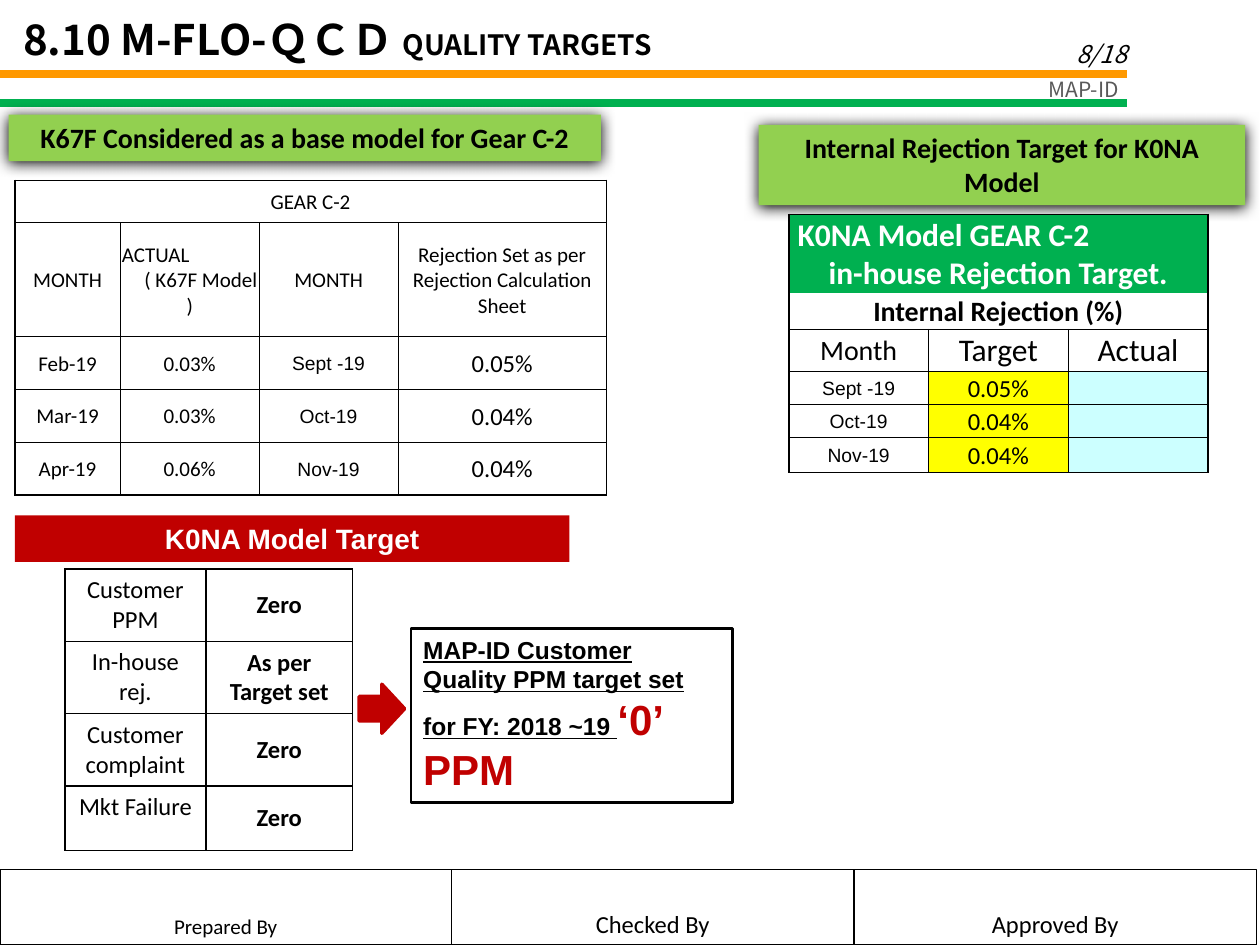
from collections import namedtuple
from dataclasses import dataclass

from lxml.etree import SubElement
from pptx import Presentation
from pptx.dml.color import RGBColor
from pptx.enum.shapes import MSO_CONNECTOR, MSO_SHAPE
from pptx.enum.text import MSO_ANCHOR as Anchor, MSO_AUTO_SIZE, PP_ALIGN as Align
from pptx.oxml.ns import qn
from pptx.util import Pt

Box = namedtuple("Box", "x y w h")
Edges = namedtuple("Edges", "left right top bottom inner")


@dataclass(frozen=True)
class Theme:
    black: str = "000000"
    white: str = "FFFFFF"
    grey: str = "595959"
    orange: str = "FF9900"
    green: str = "00B050"
    lime: str = "92D050"
    red: str = "C00000"
    yellow: str = "FFFF00"
    aqua: str = "CCFFFF"
    body: str = "Calibri"
    strong: str = "Arial"
    heading: str = "Noto Sans CJK JP"
    tiny: int = 11
    small: int = 12
    normal: int = 14
    large: int = 16
    big: int = 18
    huge: int = 24


THEME = Theme()


@dataclass
class Style:
    size: int = THEME.small
    name: str = THEME.body
    bold: bool = False
    italic: bool = False
    color: str = THEME.black
    align: Align = Align.CENTER
    fill: str = None
    anchor: Anchor = Anchor.MIDDLE


PLAIN = Style()
NORMAL = Style(THEME.normal)
DATE = Style(THEME.tiny, THEME.strong)


def rgb(value):
    return RGBColor.from_string(value)


def place(shape, box):
    shape.left, shape.top, shape.width, shape.height = map(Pt, box)


def paint(target, color):
    if color:
        target.solid()
        target.fore_color.rgb = rgb(color)
    else:
        target.background()


def write(frame, lines, style):
    """Fill a text frame; lines is a string or a list of (text, alignment)."""
    if isinstance(lines, str):
        lines = [(lines, style.align)]
    for index, (text, align) in enumerate(lines):
        para = frame.add_paragraph() if index else frame.paragraphs[0]
        para.text = text
        para.alignment = align
        font = para.font
        font.size, font.name = Pt(style.size), style.name
        font.bold, font.italic = style.bold, style.italic
        font.color.rgb = rgb(style.color)


def add_label(page, box, text, style, fill=None, line=None, width=0.75):
    shape = page.shapes.add_shape(MSO_SHAPE.RECTANGLE, *map(Pt, box))
    shape.shadow.inherit = False
    paint(shape.fill, fill)
    paint(shape.line.fill, line)
    if line:
        shape.line.width = Pt(width)
    frame = shape.text_frame
    frame.word_wrap = True
    frame.vertical_anchor = style.anchor
    write(frame, text, style)
    return shape


def add_banner(page, box, text):
    style = Style(THEME.large, bold=True, anchor=Anchor.TOP)
    shape = add_label(page, box, text, style, fill=THEME.lime)
    effects = shape._element.spPr.find(qn("a:effectLst"))
    shadow = SubElement(effects, qn("a:outerShdw"), blurRad=str(Pt(8.5)),
                        dist=str(Pt(1)), dir="5400000", rotWithShape="0")
    SubElement(shadow, qn("a:srgbClr"), val=THEME.black)


def add_rule(page, x, y, length, color):
    line = page.shapes.add_connector(MSO_CONNECTOR.STRAIGHT, Pt(x), Pt(y), Pt(x + length), Pt(y))
    line.line.color.rgb = rgb(color)
    line.line.width = Pt(4.5)
    SubElement(line._element.spPr, qn("a:effectLst"))


def set_borders(cell, widths):
    props = cell._tc.get_or_add_tcPr()
    for side, width in zip("LRTB", widths):
        edge = SubElement(props, qn(f"a:ln{side}"), w=str(Pt(width)))
        if width:
            SubElement(SubElement(edge, qn("a:solidFill")), qn("a:srgbClr"), val=THEME.black)
        else:
            SubElement(edge, qn("a:noFill"))


def add_grid(page, box, columns, heights, rows, edges, insets, open_rows=0):
    """Rows hold (text, style) cells; a one-cell row spans the table.

    No line is drawn below the first open_rows rows.
    """
    table = page.shapes.add_table(len(rows), len(columns), *map(Pt, box)).table
    table.first_row = table.horz_banding = False
    for column, width in zip(table.columns, columns):
        column.width = Pt(width)
    for r, (row, height) in enumerate(zip(rows, heights)):
        table.rows[r].height = Pt(height)
        if len(row) == 1:
            table.cell(r, 0).merge(table.cell(r, len(columns) - 1))
        for c, (text, style) in enumerate(row):
            cell = table.cell(r, c)
            cell.margin_left, cell.margin_top, cell.margin_right, cell.margin_bottom = map(Pt, insets)
            cell.vertical_anchor = style.anchor
            above = 0 if r <= open_rows else edges.inner
            below = 0 if r < open_rows else edges.inner
            set_borders(cell, (
                edges.inner if c else edges.left,
                edges.right if c == len(row) - 1 else edges.inner,
                above if r else edges.top,
                edges.bottom if r == len(rows) - 1 else below))
            paint(cell.fill, style.fill)
            write(cell.text_frame, text, style)


def add_header(page, box):
    title = page.shapes.title
    place(title, Box(box.x + 6, box.y + 4, 639, 36))
    frame = title.text_frame
    frame.auto_size = MSO_AUTO_SIZE.NONE
    frame.vertical_anchor = Anchor.MIDDLE
    write(frame, "8.10 M-FLO-ＱＣＤ ", Style(THEME.huge, THEME.heading, bold=True, align=Align.LEFT))
    span = frame.paragraphs[0].add_run()
    span.text = "QUALITY TARGETS"
    span.font.size = Pt(THEME.large)

    add_rule(page, box.x, box.y + 42.5, 644, THEME.orange)
    add_rule(page, box.x, box.y + 59, 644, THEME.green)
    add_label(page, Box(box.x + 501, box.y + 6.5, 150, 36), "8/18",
              Style(THEME.normal, THEME.heading, italic=True, align=Align.RIGHT, anchor=Anchor.BOTTOM))
    add_label(page, Box(box.x + 538.5, box.y + 40.3, 108, 21.6), "MAP-ID",
              Style(THEME.small, THEME.heading, color=THEME.grey, align=Align.RIGHT, anchor=Anchor.TOP))


def add_base_model(page, box):
    add_banner(page, Box(box.x, box.y, 338.4, 26.6), "K67F Considered as a base model for Gear C-2")
    actual = [("ACTUAL", Align.LEFT), ("( K67F Model", Align.RIGHT), (")", Align.CENTER)]
    headings = ["MONTH", actual, "MONTH", "Rejection Set as per Rejection Calculation Sheet"]
    records = [("Feb-19", "0.03%", "Sept -19", "0.05%"),
               ("Mar-19", "0.03%", "Oct-19", "0.04%"),
               ("Apr-19", "0.06%", "Nov-19", "0.04%")]
    rows = [[("GEAR C-2", PLAIN)], [(text, PLAIN) for text in headings]]
    rows += [list(zip(record, (PLAIN, PLAIN, DATE, NORMAL))) for record in records]
    add_grid(page, Box(box.x + 3.5, box.y + 37.5, box.w - 3.5, box.h - 37.5), [60.2, 79.4, 79.4, 119],
             [24.3, 65.2, 30.1, 30.1, 30.1], rows, Edges(1, 1, 1, 1, 0.5), (1, 1, 1, 0))


def add_rejection_target(page, box):
    add_banner(page, Box(box.x, box.y, box.w, 46), "Internal Rejection Target for K0NA Model")
    heading = Style(THEME.big, bold=True, color=THEME.white, fill=THEME.green)
    target, actual = Style(THEME.normal, fill=THEME.yellow), Style(THEME.tiny, fill=THEME.aqua)
    large, big = Style(THEME.large), Style(THEME.big)
    rows = [[([(" K0NA Model GEAR C-2", Align.LEFT), ("in-house Rejection Target.", Align.CENTER)], heading)],
            [("Internal Rejection (%)", Style(THEME.large, bold=True))],
            [("Month", large), ("Target", big), ("Actual", big)]]
    for month, share in (("Sept -19", "0.05%"), ("Oct-19", "0.04%"), ("Nov-19", "0.04%")):
        rows.append([(month, DATE), (share, target), ("", actual)])
    add_grid(page, Box(box.x + 17.3, box.y + 51.2, 239.4, box.h - 51.2), [79.8] * 3,
             [44, 20.7, 24, 18.9, 18.9, 19.9], rows, Edges(1, 1, 1, 0.5, 0.5), (1, 1, 1, 0), open_rows=1)


def add_model_target(page, box):
    add_label(page, Box(box.x, box.y, 316.8, 26.6), "K0NA Model Target",
              Style(THEME.large, THEME.strong, bold=True, color=THEME.white, anchor=Anchor.TOP), fill=THEME.red)
    name, goal = Style(THEME.normal, anchor=Anchor.TOP), Style(THEME.normal, bold=True)
    goals = {"Customer PPM": "Zero", "In-house rej.": "As per Target set",
             "Customer complaint": "Zero", "Mkt Failure": "Zero"}
    rows = [[(key, name), (value, goal)] for key, value in goals.items()]
    add_grid(page, Box(box.x + 28.5, box.y + 30.7, 164.4, 159.4), [80.6, 83.8],
             [40.8, 40.8, 40.8, 37], rows, Edges(1, 1, 1, 1, 1), (7.2, 3.6, 7.2, 3.6))

    arrow = page.shapes.add_shape(MSO_SHAPE.RIGHT_ARROW, *map(Pt, Box(box.x + 196.6, box.y + 96.5, 26, 28)))
    arrow.shadow.inherit = False
    paint(arrow.fill, THEME.red)
    paint(arrow.line.fill, THEME.red)
    arrow.line.width = Pt(2)

    message = add_label(page, Box(box.x + 226.2, box.y + 64.6, 183.8, 99.4),
                        "MAP-ID Customer Quality PPM target set for FY: 2018 ~19 ",
                        Style(THEME.normal, THEME.strong, bold=True, align=Align.LEFT, anchor=Anchor.TOP),
                        line=THEME.black, width=1.5)
    para = message.text_frame.paragraphs[0]
    para.runs[0].font.underline = True
    span = para.add_run()
    span.text = "‘0’ PPM"
    span.font.size = Pt(THEME.huge)
    span.font.color.rgb = rgb(THEME.red)


def add_signatures(page, box):
    x = box.x
    for text, width, size in (("Prepared By", 258, THEME.small), ("Checked By", 230, THEME.normal),
                              ("Approved By", 230, THEME.normal)):
        add_label(page, Box(x, box.y, width, box.h), text, Style(size, anchor=Anchor.BOTTOM), line=THEME.black)
        x += width


def main():
    deck = Presentation()
    deck.slide_width, deck.slide_height = Pt(720), Pt(540)
    page = deck.slides.add_slide(deck.slide_layouts[5])
    add_header(page, Box(0, 0, 720, 62))
    add_base_model(page, Box(5, 65.5, 342, 217.3))
    add_rejection_target(page, Box(433.5, 71.3, 278, 197.6))
    add_model_target(page, Box(8.6, 294.5, 410, 190))
    add_signatures(page, Box(0, 496.8, 718, 43.2))
    deck.save("out.pptx")


if __name__ == "__main__":
    main()
